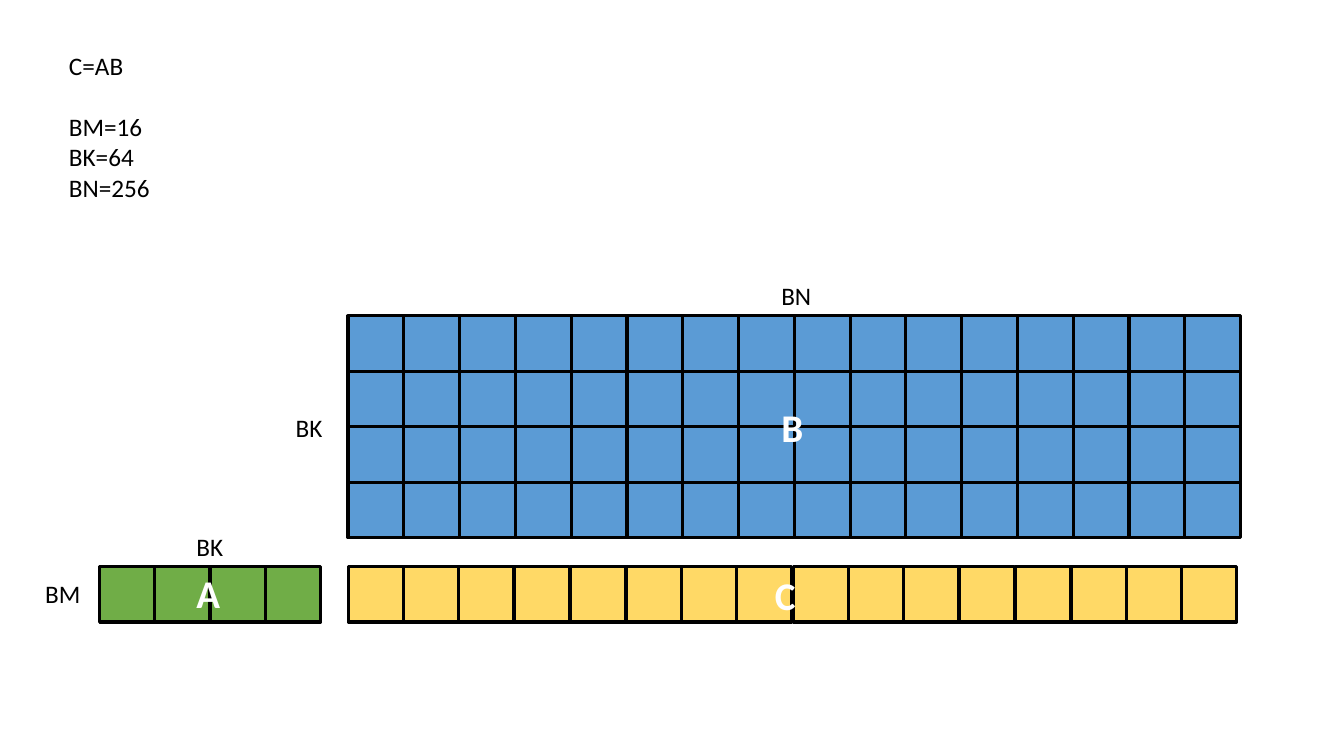
from pptx import Presentation
from pptx.dml.color import RGBColor
from pptx.enum.shapes import MSO_SHAPE as Preset
from pptx.enum.text import MSO_AUTO_SIZE as AutoSize
from pptx.util import Pt

BLACK, WHITE = "000000", "FFFFFF"
GREEN, BLUE, YELLOW = "70AD47", "5B9BD5", "FFD966"
DIMENSION = {"name": "Calibri", "size": Pt(18)}
MATRIX_NAME = {"name": "Calibri", "size": Pt(28), "bold": True}


def colour(value):
    """Turn a hex string into a colour."""
    return RGBColor.from_string(value)


def add_tiles(slide, box, columns, rows, fill):
    """Fill a box with one group of equal outlined tiles, column by column."""
    left, top, width, height = box
    tile_width, tile_height = width / columns, height / rows
    tiles = slide.shapes.add_group_shape().shapes
    for column in range(columns):
        for row in range(rows):
            tile = tiles.add_shape(
                Preset.RECTANGLE,
                Pt(left + column * tile_width), Pt(top + row * tile_height),
                Pt(tile_width), Pt(tile_height))
            tile.shadow.inherit = False
            tile.fill.solid()
            tile.fill.fore_color.rgb = colour(fill)
            tile.line.color.rgb = colour(BLACK)
            tile.line.width = Pt(2.25)


def add_label(slide, box, lines, text_format, ink=BLACK):
    """Write lines of text in a box and return their paragraphs."""
    label = slide.shapes.add_textbox(*map(Pt, box))
    frame = label.text_frame
    frame.word_wrap = True
    frame.auto_size = AutoSize.SHAPE_TO_FIT_TEXT
    frame.text = "\n".join(lines)
    for paragraph in frame.paragraphs:
        for attribute, value in text_format.items():
            setattr(paragraph.font, attribute, value)
        paragraph.font.color.rgb = colour(ink)
    return frame.paragraphs


def add_sizes(slide, box):
    """Write the product and the block sizes in a box."""
    lines = ["C=AB", "BM=16", "BK=64", "BN=256"]
    paragraphs = add_label(slide, box, lines, DIMENSION)
    paragraphs[1].space_before = Pt(22)


def add_matrix_a(slide, box):
    """Draw the BM by BK block with its labels around the box."""
    left, top, width, height = box
    add_tiles(slide, box, 4, 1, GREEN)
    add_label(slide, (left - 46, top + 5, 46, 29), ["BM"], DIMENSION)
    add_label(slide, (left + 62, top - 29, 49, 29), ["BK"], DIMENSION)
    add_label(slide, (left + 62, top - 1.5, 40, 41), ["A"], MATRIX_NAME, WHITE)


def add_matrix_b(slide, box):
    """Draw the BK by BN block in two halves with its labels."""
    left, top, width, height = box
    half = width / 2
    for part in range(2):
        add_tiles(slide, (left + part * half, top, half, height), 8, 4, BLUE)
    add_label(slide, (left - 44.5, top + 65, 45, 29), ["BK"], DIMENSION)
    add_label(slide, (left + 302.4, top - 29, 55, 29), ["BN"], DIMENSION)
    add_label(slide, (left + 302.4, top + 59, 45, 41), ["B"], MATRIX_NAME, WHITE)


def add_matrix_c(slide, box):
    """Draw the BM by BN result in four quarters with its name."""
    left, top, width, height = box
    quarter, gap = 157.8, (width - 4 * 157.8) / 3
    for part in range(4):
        start = left + part * (quarter + gap)
        add_tiles(slide, (start, top, quarter, height), 4, 1, YELLOW)
    add_label(slide, (left + 297.6, top, 40, 41), ["C"], MATRIX_NAME, WHITE)


def main():
    """Build the matrix product slide and save it."""
    deck = Presentation()
    deck.slide_width, deck.slide_height = Pt(960), Pt(540)
    slide = deck.slides.add_slide(deck.slide_layouts[6])
    add_matrix_a(slide, (71.2, 404.8, 157.8, 39.5))
    add_matrix_b(slide, (248.6, 225.6, 637.6, 158.4))
    add_matrix_c(slide, (248.8, 404.8, 634.6, 39.5))
    add_sizes(slide, (42.2, 32.5, 532, 116))
    deck.save("out.pptx")


if __name__ == "__main__":
    main()
